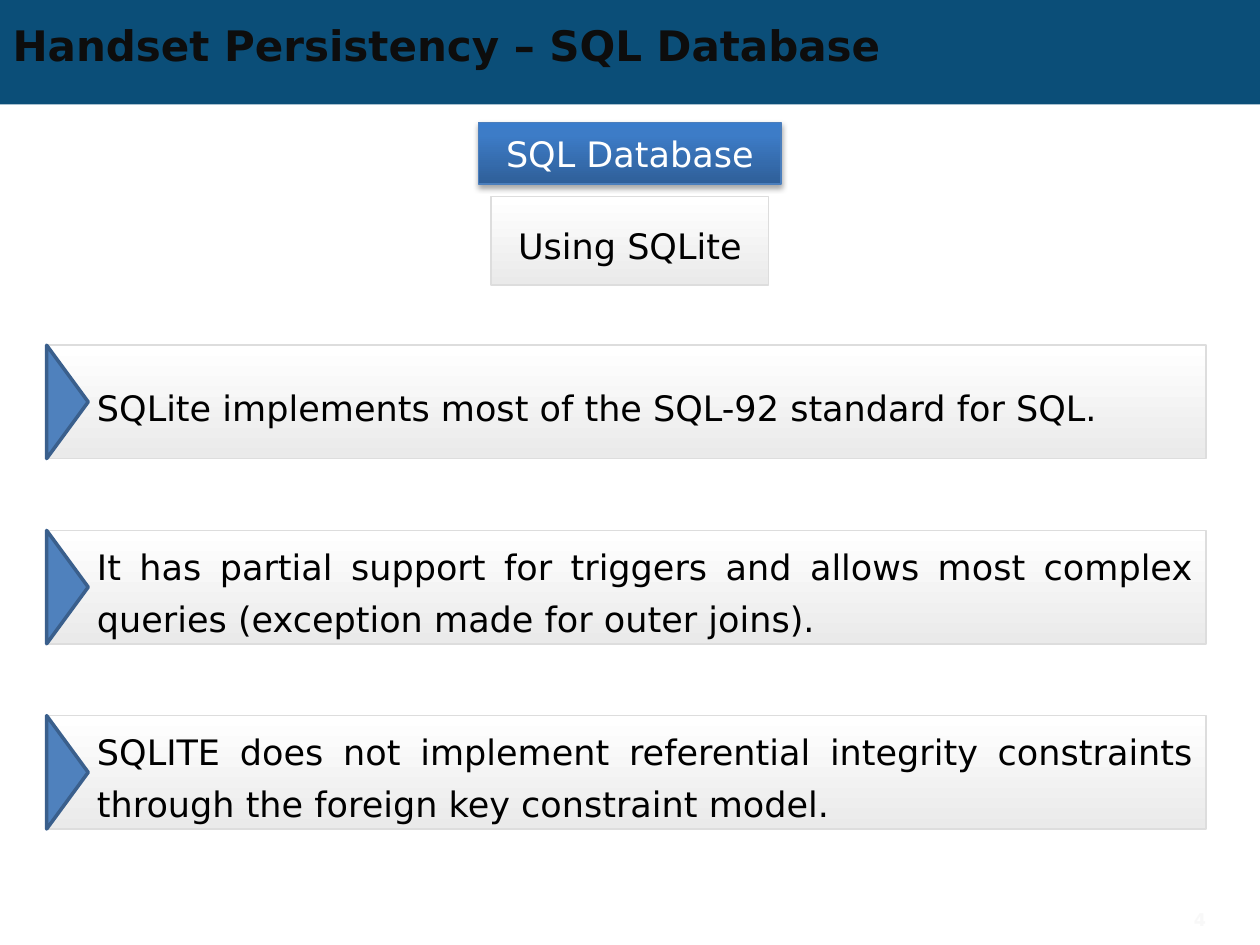
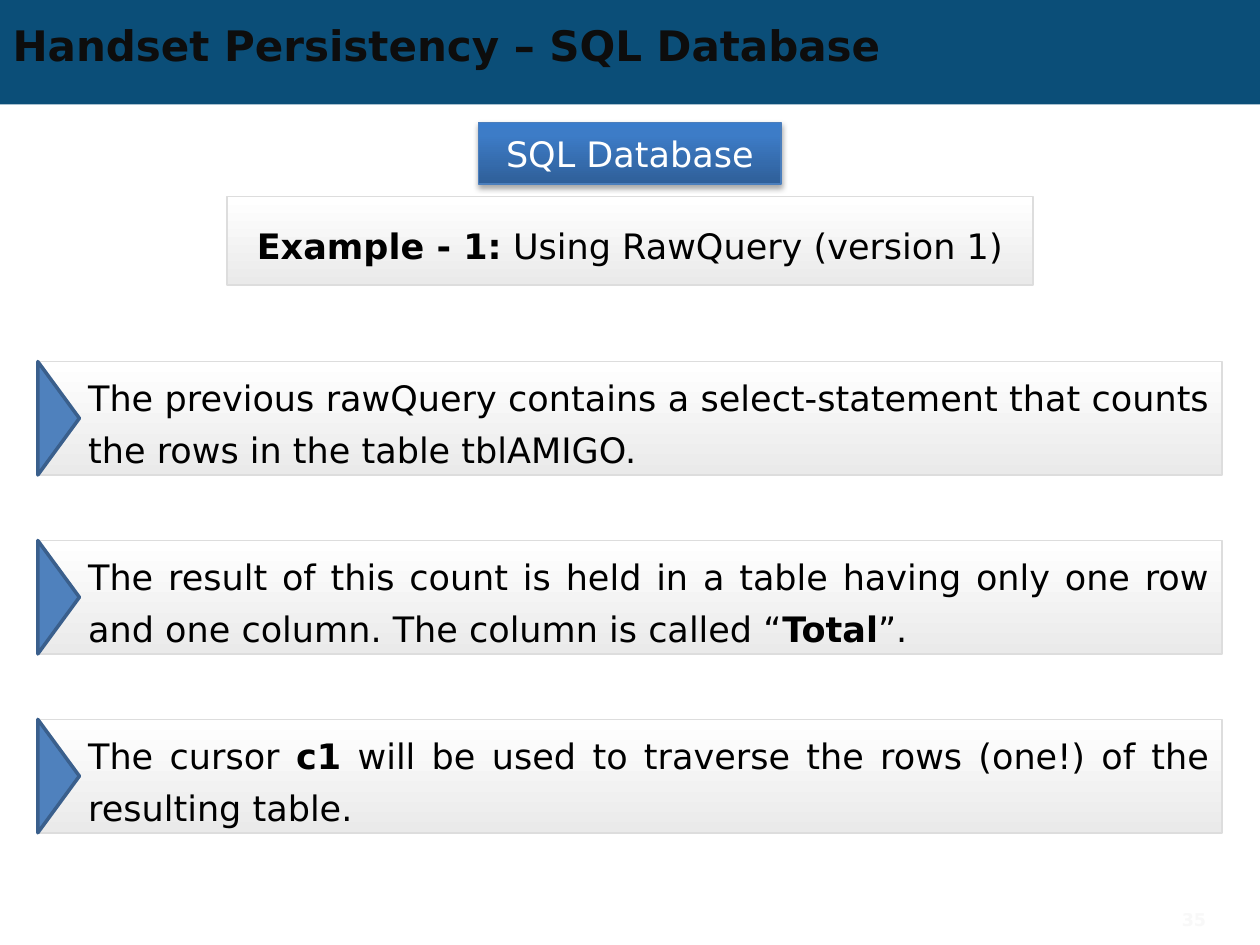
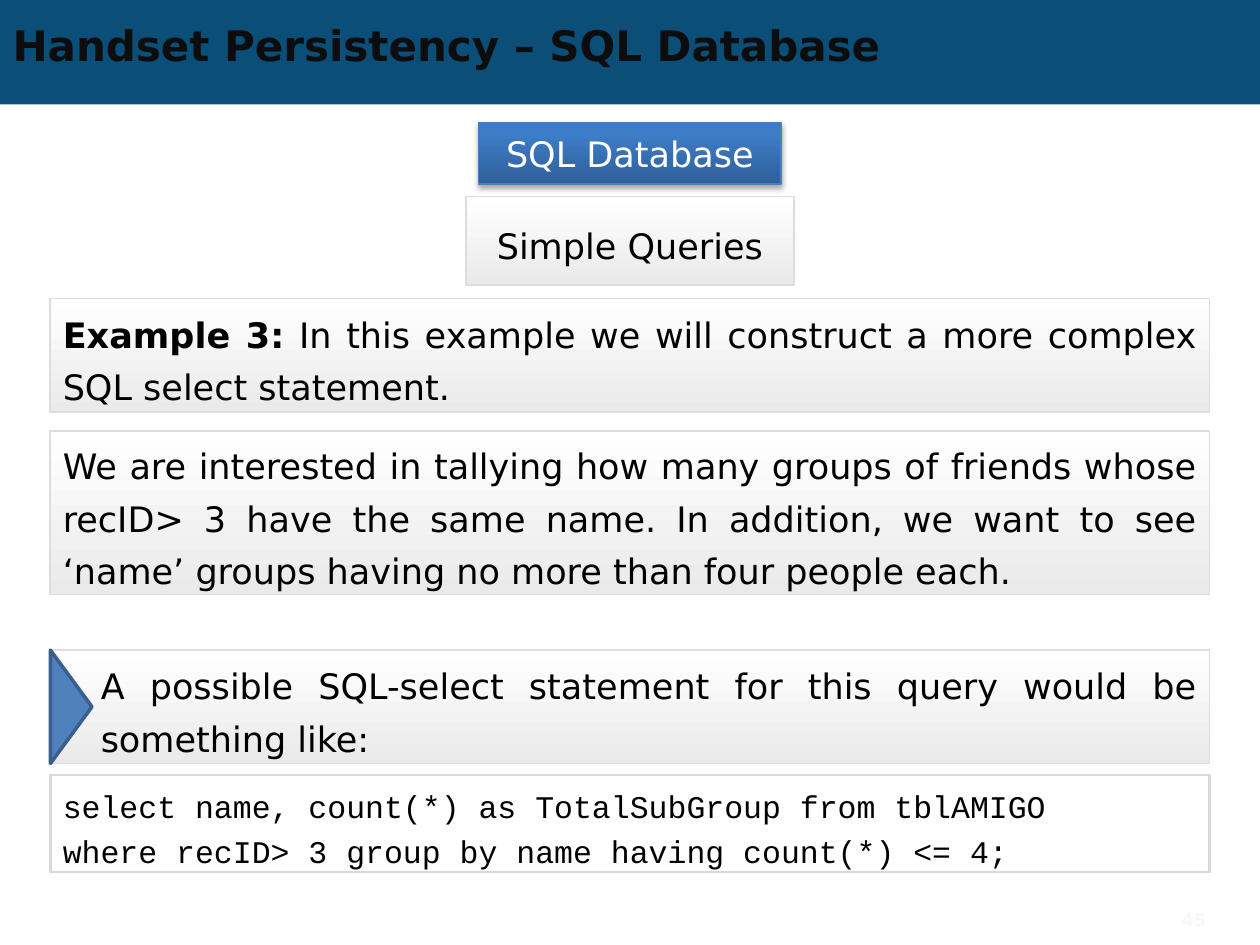
import copy
from dataclasses import dataclass

import lxml.etree
import pptx
import pptx.dml.color
import pptx.enum.shapes
import pptx.enum.text
import pptx.oxml.ns
import pptx.util

Inches = pptx.util.Inches
Pt = pptx.util.Pt
RGBColor = pptx.dml.color.RGBColor
Shape = pptx.enum.shapes.MSO_SHAPE
Align = pptx.enum.text.PP_ALIGN
Anchor = pptx.enum.text.MSO_ANCHOR
AutoSize = pptx.enum.text.MSO_AUTO_SIZE
qn = pptx.oxml.ns.qn

BAND = RGBColor(0x0B, 0x4E, 0x78)
TITLE_INK = RGBColor(0x0D, 0x0D, 0x0D)
BLACK = RGBColor(0x00, 0x00, 0x00)
WHITE = RGBColor(0xFF, 0xFF, 0xFF)
PANEL_GREY = RGBColor(0xEA, 0xEA, 0xEA)
PANEL_EDGE = RGBColor(0xDD, 0xDD, 0xDD)
CODE_EDGE = RGBColor(0xD9, 0xD9, 0xD9)
MARKER_FILL = RGBColor(0x4F, 0x81, 0xBD)
MARKER_EDGE = RGBColor(0x3A, 0x5F, 0x8C)
BADGE_EDGE = RGBColor(0x4B, 0x7E, 0xBC)
NUMBER_INK = RGBColor(0xF8, 0xF8, 0xF8)
PANEL_STOPS = [(0, WHITE), (1, PANEL_GREY)]
BADGE_STOPS = [
    (0, RGBColor(0x2F, 0x5F, 0x99)),
    (0.8, RGBColor(0x3D, 0x7C, 0xC7)),
    (1, RGBColor(0x3A, 0x7C, 0xCB)),
]

BODY_FONT = "DejaVu Sans"
CODE_FONT = "Courier New"
TITLE = "Handset Persistency – SQL Database"
TOPIC = "SQL Database"
SLIDE_WIDTH = 10
ROW_HEIGHT = 0.9
MARKER_DEPTH = 0.33


@dataclass(frozen=True)
class Panel:
    left: float
    top: float
    width: float
    height: float
    text: str
    align: Align = Align.JUSTIFY
    marked: bool = False


@dataclass(frozen=True)
class Lesson:
    number: str
    panels: list[Panel]
    code: tuple[str, ...] = ()


def subtitle(text: str, width: float) -> Panel:
    return Panel((SLIDE_WIDTH - width) / 2, 1.56, width, 0.7, text, Align.CENTER)


def marked_rows(left: float, top: float, width: float, pitch: float,
                texts: list[str]) -> list[Panel]:
    return [Panel(left, top + i * pitch, width, ROW_HEIGHT, text, marked=True)
            for i, text in enumerate(texts)]


LESSONS = [
    Lesson("4", [
        subtitle("Using SQLite", 2.2),
        *marked_rows(0.37, 2.74, 9.2, 1.47, [
            "SQLite implements most of the SQL-92 standard for SQL.",
            "It has partial support for triggers and allows most complex queries "
            "(exception made for outer joins).",
            "SQLITE does not implement referential integrity constraints "
            "through the foreign key constraint model.",
        ]),
    ]),
    Lesson("35", [
        subtitle("**Example - 1:** Using RawQuery (version 1)", 6.4),
        *marked_rows(0.3, 2.87, 9.4, 1.42, [
            "The previous rawQuery contains a select-statement that counts "
            "the rows in the table tblAMIGO.",
            "The result of this count is held in a table having only one row "
            "and one column. The column is called “**Total**”.",
            "The cursor **c1** will be used to traverse the rows (one!) of the "
            "resulting table.",
        ]),
    ]),
    Lesson("45", [
        subtitle("Simple Queries", 2.6),
        Panel(0.4, 2.37, 9.2, 0.9,
              "**Example 3:** In this example we will construct a more complex "
              "SQL select statement."),
        Panel(0.4, 3.42, 9.2, 1.3,
              "We are interested in tallying how many groups of friends whose "
              "recID> 3 have the same name. In addition, we want to see "
              "‘name’ groups having no more than four people each."),
        *marked_rows(0.4, 5.16, 9.2, 0, [
            "A possible SQL-select statement for this query would be something like:",
        ]),
    ], (
        "select name, count(*) as TotalSubGroup from tblAMIGO",
        "where recID> 3 group by name having count(*) <= 4;",
    )),
]


def add_plain_shape(shapes, kind, left: float, top: float, width: float, height: float):
    shape = shapes.add_shape(kind, Inches(left), Inches(top), Inches(width), Inches(height))
    shape.shadow.inherit = False
    shape.fill.background()
    return shape


def draw_edge(shape, color: RGBColor, width: float) -> None:
    shape.line.color.rgb = color
    shape.line.width = Pt(width)


def fill_solid(shape, color: RGBColor) -> None:
    shape.fill.solid()
    shape.fill.fore_color.rgb = color


def fill_gradient(shape, stops: list[tuple[float, RGBColor]], angle: int) -> None:
    shape.fill.gradient()
    shape.fill.gradient_angle = angle
    stop_list = shape._element.spPr.find(".//" + qn("a:gsLst"))
    while len(stop_list) < len(stops):
        stop_list.append(copy.deepcopy(stop_list[0]))
    for stop, (position, color) in zip(shape.fill.gradient_stops, stops):
        stop.position = position
        stop.color.rgb = color


def format_runs(paragraph, size: float, color: RGBColor, font: str = BODY_FONT) -> None:
    for run in paragraph.runs:
        run.font.size = Pt(size)
        run.font.name = font
        run.font.color.rgb = color


def write_phrases(paragraph, text: str) -> None:
    for i, phrase in enumerate(text.split("**")):
        if phrase:
            run = paragraph.add_run()
            run.text = phrase
            run.font.bold = i % 2 == 1


def draw_panel(slide, panel: Panel) -> None:
    shapes = slide.shapes.add_group_shape().shapes if panel.marked else slide.shapes
    box = add_plain_shape(shapes, Shape.RECTANGLE,
                          panel.left, panel.top, panel.width, panel.height)
    fill_gradient(box, PANEL_STOPS, 270)
    draw_edge(box, PANEL_EDGE, 1)
    frame = box.text_frame
    frame.word_wrap = True
    frame.vertical_anchor = Anchor.MIDDLE
    paragraph = frame.paragraphs[0]
    paragraph.alignment = panel.align
    paragraph.line_spacing = Pt(30)
    write_phrases(paragraph, panel.text)
    format_runs(paragraph, 20, BLACK)
    if panel.marked:
        frame.margin_left = Inches(0.4)
        frame.margin_top = frame.margin_bottom = 0
        draw_marker(shapes, panel)


def draw_marker(shapes, panel: Panel) -> None:
    marker = add_plain_shape(
        shapes, Shape.ISOSCELES_TRIANGLE,
        panel.left + (MARKER_DEPTH - panel.height) / 2,
        panel.top + (panel.height - MARKER_DEPTH) / 2,
        panel.height, MARKER_DEPTH)
    marker.rotation = 90
    fill_solid(marker, MARKER_FILL)
    draw_edge(marker, MARKER_EDGE, 2)


def draw_badge(slide) -> None:
    badge = add_plain_shape(slide.shapes, Shape.RECTANGLE, 3.8, 0.97, 2.4, 0.49)
    fill_gradient(badge, BADGE_STOPS, 90)
    draw_edge(badge, BADGE_EDGE, 0.75)
    effects = badge._element.spPr.find(qn("a:effectLst"))
    shadow = lxml.etree.SubElement(effects, qn("a:outerShdw"), blurRad="40000",
                                   dist="23000", dir="5400000", rotWithShape="0")
    tint = lxml.etree.SubElement(shadow, qn("a:srgbClr"), val="000000")
    lxml.etree.SubElement(tint, qn("a:alpha"), val="35000")
    badge.text_frame.text = TOPIC
    badge.text_frame.vertical_anchor = Anchor.MIDDLE
    paragraph = badge.text_frame.paragraphs[0]
    paragraph.alignment = Align.CENTER
    format_runs(paragraph, 20, WHITE)


def draw_code(slide, lines: tuple[str, ...]) -> None:
    box = add_plain_shape(slide.shapes, Shape.RECTANGLE, 0.4, 6.15, 9.2, 0.77)
    draw_edge(box, CODE_EDGE, 1.5)
    frame = box.text_frame
    frame.text = "\n".join(lines)
    frame.word_wrap = True
    frame.auto_size = AutoSize.SHAPE_TO_FIT_TEXT
    frame.vertical_anchor = Anchor.TOP
    frame.margin_top = Inches(0.1)
    for i, paragraph in enumerate(frame.paragraphs):
        paragraph.alignment = Align.LEFT
        if i:
            paragraph.space_before = Pt(4)
        format_runs(paragraph, 18, BLACK, CODE_FONT)


def write_title(slide) -> None:
    frame = slide.shapes.title.text_frame
    frame.text = TITLE
    frame.auto_size = AutoSize.NONE
    frame.vertical_anchor = Anchor.MIDDLE
    paragraph = frame.paragraphs[0]
    paragraph.alignment = Align.LEFT
    format_runs(paragraph, 24, TITLE_INK)
    paragraph.runs[0].font.bold = True


def write_number(slide, number: str) -> None:
    box = slide.shapes.add_textbox(Inches(8.67), Inches(7.15), Inches(1), Inches(0.3))
    box.text_frame.text = number
    box.text_frame.word_wrap = True
    box.text_frame.vertical_anchor = Anchor.MIDDLE
    paragraph = box.text_frame.paragraphs[0]
    paragraph.alignment = Align.RIGHT
    format_runs(paragraph, 10, NUMBER_INK)
    paragraph.runs[0].font.bold = True


def prepare_layout(layout, first_slide) -> None:
    band = add_plain_shape(first_slide.shapes, Shape.RECTANGLE, 0, 0, SLIDE_WIDTH, 0.83)
    fill_solid(band, BAND)
    band.line.fill.background()
    band._element.nvSpPr.cNvPr.set("id", "20")
    layout.shapes._spTree.insert(2, band._element)
    title = layout.placeholders[0]
    title.left, title.top = Inches(0), Inches(0.14)
    title.width, title.height = Inches(9), Inches(0.43)


def main() -> None:
    deck = pptx.Presentation()
    deck.slide_width = Inches(SLIDE_WIDTH)
    deck.slide_height = Inches(7.5)
    layout = deck.slide_layouts[5]
    slides = [deck.slides.add_slide(layout) for _ in LESSONS]
    prepare_layout(layout, slides[0])
    for slide, lesson in zip(slides, LESSONS):
        write_title(slide)
        draw_badge(slide)
        for panel in lesson.panels:
            draw_panel(slide, panel)
        if lesson.code:
            draw_code(slide, lesson.code)
        write_number(slide, lesson.number)
    deck.save("out.pptx")


if __name__ == "__main__":
    main()
